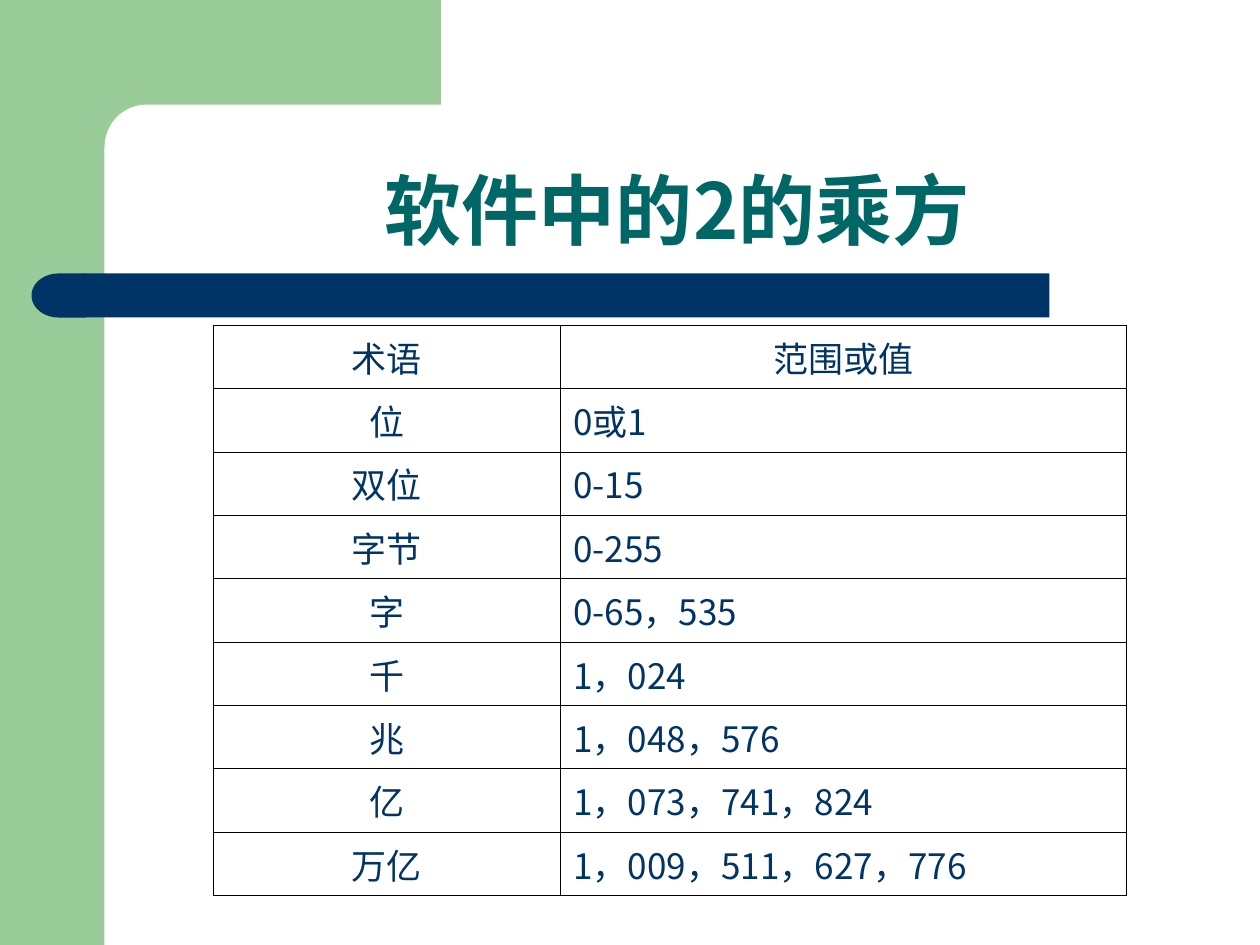
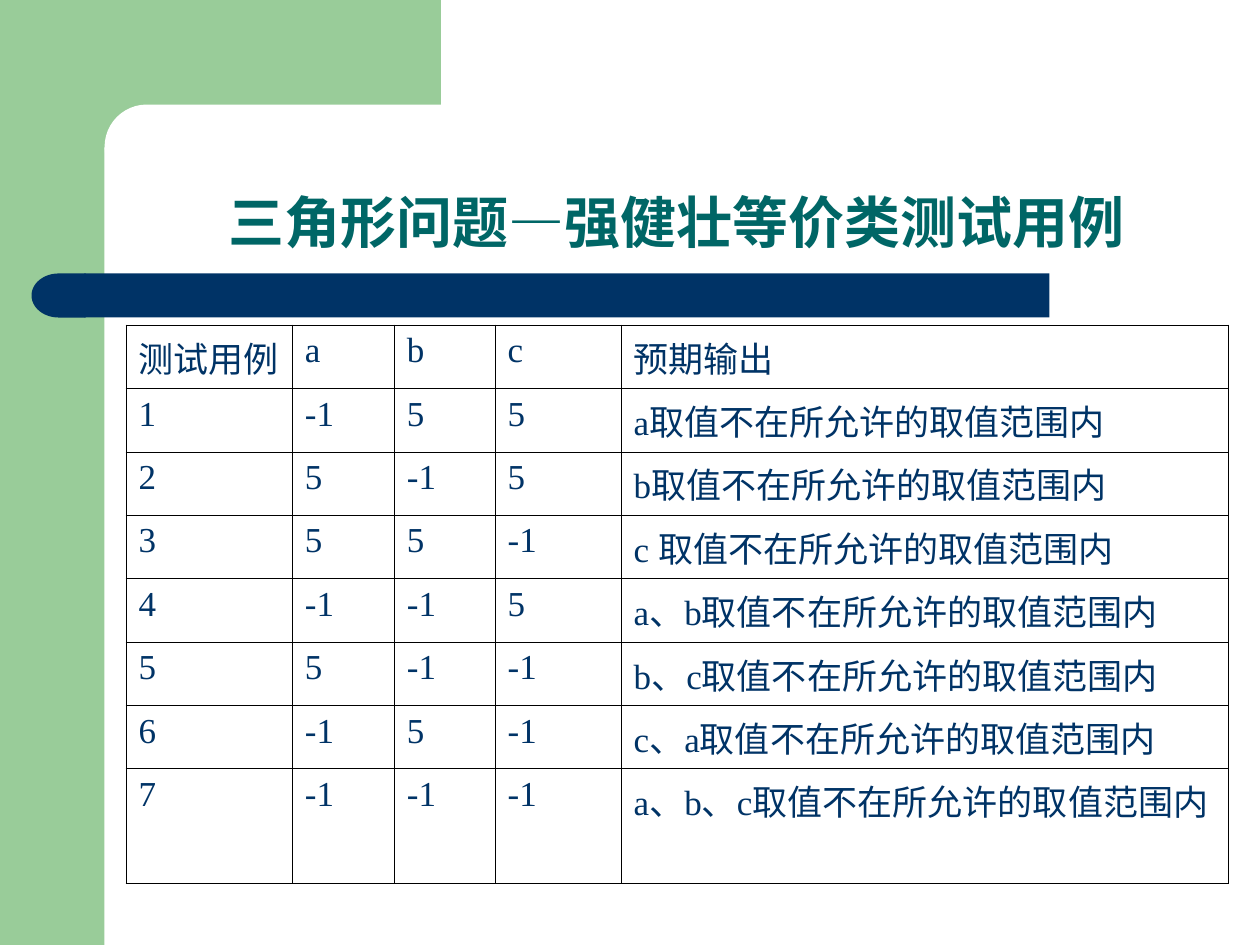
from lxml.etree import SubElement
from pptx import Presentation
from pptx.dml.color import RGBColor
from pptx.enum.shapes import MSO_SHAPE as Shape
from pptx.enum.text import MSO_ANCHOR as Anchor, PP_ALIGN as Align
from pptx.oxml.ns import qn
from pptx.util import Inches, Pt

COLORS = {"leaf": "99CC99", "navy": "003366", "teal": "006666", "paper": "FFFFFF", "rule": "000000"}
WIDTH, HEIGHT = 10, 7.5
TABLE_TOP = 2.58
ROW_HEIGHT = 4.53 / 9
OUT_OF_RANGE = "取值不在所允许的取值范围内"

BACKDROP = [
    (Shape.RECTANGLE, (0, 0, 0.83, HEIGHT), "leaf", None, 0),
    (Shape.RECTANGLE, (0.75, 0, 2.75, 1.17), "leaf", None, 0),
    (Shape.ROUNDED_RECTANGLE, (0.83, 0.83, 5.58, 0.67), "paper", 0.5, 0),
    (Shape.RECTANGLE, (0.67, 2.17, 7.66, 0.35), "navy", None, 0),
    (Shape.FLOWCHART_DELAY, (0.25, 2.17, 0.43, 0.35), "navy", None, 180),
]

SLIDES = [
    {
        "title": "软件中的2的乘方",
        "title_format": {"size": 44, "font": "Noto Sans CJK JP", "asian": "Noto Sans CJK JP"},
        "left": 1.69,
        "columns": [2.76, 4.49],
        "row_heights": [ROW_HEIGHT] * 9,
        "cell_format": {"font": "Noto Sans CJK SC"},
        "centred": lambda row, column: row == 0 or column == 0,
        "rows": [
            ("术语", "范围或值"),
            ("位", "0或1"),
            ("双位", "0-15"),
            ("字节", "0-255"),
            ("字", "0-65，535"),
            ("千", "1，024"),
            ("兆", "1，048，576"),
            ("亿", "1，073，741，824"),
            ("万亿", "1，009，511，627，776"),
        ],
    },
    {
        "title": "三角形问题—强健壮等价类测试用例",
        "title_format": {"size": 32, "font": "Arial"},
        "left": 1,
        "columns": [1.32, 0.81, 0.8, 1, 4.82],
        "row_heights": [ROW_HEIGHT] * 7 + [0.91],
        "cell_format": {"font": "Times New Roman", "hanging": 0.38},
        "centred": lambda row, column: False,
        "rows": [
            ("测试用例", "a", "b", "c", "预期输出"),
            ("1", "-1", "5", "5", "a" + OUT_OF_RANGE),
            ("2", "5", "-1", "5", "b" + OUT_OF_RANGE),
            ("3", "5", "5", "-1", "c " + OUT_OF_RANGE),
            ("4", "-1", "-1", "5", "a、b" + OUT_OF_RANGE),
            ("5", "5", "-1", "-1", "b、c" + OUT_OF_RANGE),
            ("6", "-1", "5", "-1", "c、a" + OUT_OF_RANGE),
            ("7", "-1", "-1", "-1", "a、b、c" + OUT_OF_RANGE),
        ],
    },
]


def color(name):
    return RGBColor.from_string(COLORS[name])


def write(frame, text, *, font, asian="Noto Sans CJK SC", size=20, ink="navy",
          bold=False, align=Align.LEFT, spacing=None, hanging=0):
    frame.word_wrap = True
    paragraph = frame.paragraphs[0]
    paragraph.alignment = align
    if spacing:
        paragraph.line_spacing = spacing
    if hanging:
        properties = paragraph._p.get_or_add_pPr()
        properties.set("marL", str(Inches(hanging)))
        properties.set("indent", str(-Inches(hanging)))
    run = paragraph.add_run()
    run.text = text
    run.font.name = font
    run.font.size = Pt(size)
    run.font.bold = bold
    run.font.color.rgb = color(ink)
    SubElement(run._r.get_or_add_rPr(), qn("a:ea"), typeface=asian)


def draw_backdrop(slide):
    for preset, box, fill, rounding, turn in BACKDROP:
        part = slide.shapes.add_shape(preset, *map(Inches, box))
        part.shadow.inherit = False
        part.fill.solid()
        part.fill.fore_color.rgb = color(fill)
        part.line.fill.background()
        part.rotation = turn
        if rounding is not None:
            part.adjustments[0] = rounding


def draw_title(slide, text, title_format):
    frame = slide.shapes.add_textbox(*map(Inches, (1, 0.83, 8.75, 1.25))).text_frame
    frame.vertical_anchor = Anchor.BOTTOM
    write(frame, text, ink="teal", bold=True, align=Align.CENTER, spacing=0.9, **title_format)


def outline(cell):
    properties = cell._tc.get_or_add_tcPr()
    for side in ("lnL", "lnR", "lnT", "lnB"):
        edge = SubElement(properties, qn(f"a:{side}"), w=str(Pt(0.45)))
        SubElement(SubElement(edge, qn("a:solidFill")), qn("a:srgbClr"), val=COLORS["rule"])
    cell.fill.background()


def draw_table(slide, content):
    rows, columns, heights = content["rows"], content["columns"], content["row_heights"]
    box = (content["left"], TABLE_TOP, sum(columns), sum(heights))
    grid = slide.shapes.add_table(len(rows), len(columns), *map(Inches, box)).table
    grid.first_row = grid.horz_banding = False
    for column, width in zip(grid.columns, columns):
        column.width = Inches(width)
    for row, height in zip(grid.rows, heights):
        row.height = Inches(height)
    for r, values in enumerate(rows):
        for c, value in enumerate(values):
            cell = grid.cell(r, c)
            align = Align.CENTER if content["centred"](r, c) else Align.LEFT
            write(cell.text_frame, value, align=align, **content["cell_format"])
            outline(cell)


def main():
    deck = Presentation()
    deck.slide_width, deck.slide_height = Inches(WIDTH), Inches(HEIGHT)
    for content in SLIDES:
        slide = deck.slides.add_slide(deck.slide_layouts[6])
        draw_backdrop(slide)
        draw_title(slide, content["title"], content["title_format"])
        draw_table(slide, content)
    deck.save("out.pptx")


if __name__ == "__main__":
    main()
